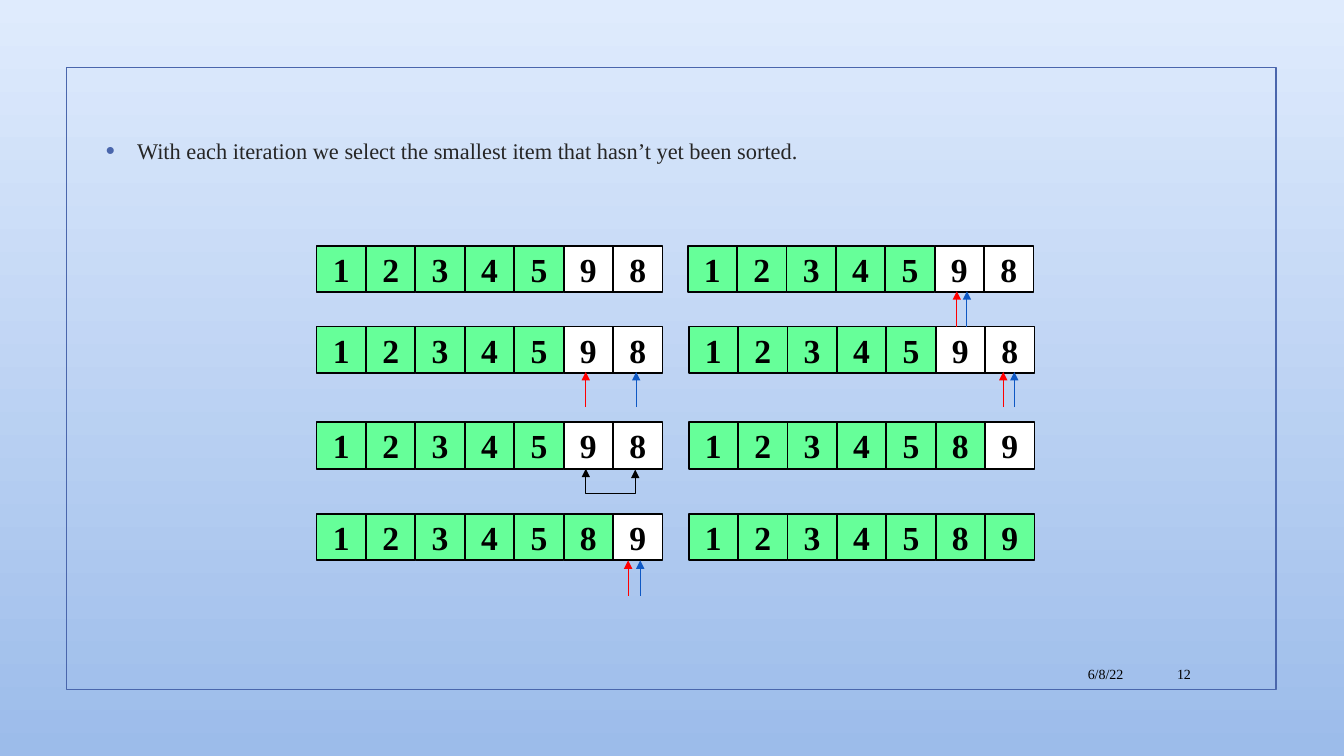
from lxml import etree
from pptx import Presentation
from pptx.dml.color import RGBColor
from pptx.enum.shapes import MSO_CONNECTOR, MSO_SHAPE
from pptx.enum.text import MSO_ANCHOR, PP_ALIGN
from pptx.oxml.ns import qn
from pptx.util import Inches, Pt

RECTANGLE = MSO_SHAPE.RECTANGLE
STRAIGHT, ELBOW = MSO_CONNECTOR.STRAIGHT, MSO_CONNECTOR.ELBOW
TOP, MIDDLE = MSO_ANCHOR.TOP, MSO_ANCHOR.MIDDLE
LEFT, CENTER, RIGHT = PP_ALIGN.LEFT, PP_ALIGN.CENTER, PP_ALIGN.RIGHT
CONTENT_LAYOUT = 1

BLACK, WHITE, RED, BLUE = "000000", "FFFFFF", "FF0000", "0E58C4"
SORTED_GREEN, ACCENT, BODY_TEXT = "66FF99", "4A66AC", "262626"
CELL_WIDTH, CELL_HEIGHT, POINTER_LENGTH = 0.49, 0.46, 0.35

# left, top, digits, number of sorted cells
ARRAYS = [
    (3.14, 2.44, "1234598", 5), (6.82, 2.44, "1234598", 5),
    (3.14, 3.24, "1234598", 5), (6.83, 3.24, "1234598", 5),
    (3.14, 4.19, "1234598", 5), (6.83, 4.19, "1234589", 6),
    (3.14, 5.1, "1234589", 6), (6.83, 5.1, "1234589", 7),
]
# x of the smallest-item pointer, x of the scanning pointer, y of the tips
POINTERS = [(9.49, 9.59, 2.89), (5.81, 6.31, 3.69),
            (9.95, 10.06, 3.69), (6.23, 6.35, 5.56)]


def color(hex_string):
    return RGBColor.from_string(hex_string)


class SlideBuilder:
    font_name = "Times New Roman"

    def __init__(self, slide):
        self.slide = slide
        self.shapes = slide.shapes

    def background(self, top_color, bottom_color):
        fill = self.slide.background.fill
        fill.gradient()
        fill.gradient_angle = 270
        for stop, hex_string in zip(fill.gradient_stops, (top_color, bottom_color)):
            stop.color.rgb = color(hex_string)

    def set_text(self, shape, text, size, hex_string, align, anchor=MIDDLE, bold=False):
        frame = shape.text_frame
        frame.word_wrap = True
        frame.vertical_anchor = anchor
        paragraph = frame.paragraphs[0]
        paragraph.text = text
        paragraph.alignment = align
        font = paragraph.font
        font.name, font.size, font.bold = self.font_name, Pt(size), bold
        font.color.rgb = color(hex_string)
        return paragraph

    def rectangle(self, left, top, width, height, line, fill=None):
        shape = self.shapes.add_shape(
            RECTANGLE, Inches(left), Inches(top), Inches(width), Inches(height))
        shape.shadow.inherit = False
        if fill:
            shape.fill.solid()
            shape.fill.fore_color.rgb = color(fill)
        else:
            shape.fill.background()
        shape.line.color.rgb = color(line)
        shape.line.width = Pt(1.25)
        return shape

    def array(self, left, top, digits, sorted_count):
        for index, digit in enumerate(digits):
            fill = SORTED_GREEN if index < sorted_count else WHITE
            cell = self.rectangle(left + index * CELL_WIDTH, top,
                                  CELL_WIDTH, CELL_HEIGHT, BLACK, fill)
            self.set_text(cell, digit, 24, BLACK, CENTER, bold=True)

    def bullet(self, left, top, width, height, text):
        body = self.slide.placeholders[1]
        body.left, body.top = Inches(left), Inches(top)
        body.width, body.height = Inches(width), Inches(height)
        paragraph = self.set_text(body, text, 16, BODY_TEXT, LEFT, TOP)
        paragraph.space_before, paragraph.space_after = Pt(3.2), Pt(6)
        properties = paragraph._p.get_or_add_pPr()
        properties.set("marL", str(Inches(0.31)))
        properties.set("indent", str(-Inches(0.31)))
        marker = [etree.Element(qn(tag)) for tag in
                  ("a:buClr", "a:buSzPct", "a:buFont", "a:buChar")]
        etree.SubElement(marker[0], qn("a:srgbClr")).set("val", ACCENT)
        marker[1].set("val", "115000")
        marker[2].set("typeface", "Arial")
        marker[3].set("char", "•")
        position = properties.index(properties.find(qn("a:defRPr")))
        properties[position:position] = marker

    def label(self, left, top, width, height, text):
        box = self.shapes.add_textbox(
            Inches(left), Inches(top), Inches(width), Inches(height))
        self.set_text(box, text, 10, BLACK, RIGHT)

    def connector(self, kind, start, end, hex_string, arrowheads):
        connector = self.shapes.add_connector(kind, *map(Inches, start + end))
        connector.line.color.rgb = color(hex_string)
        connector.line.width = Pt(0.75)
        properties = connector._element.spPr
        line = properties.find(qn("a:ln"))
        for tag in arrowheads:
            etree.SubElement(line, qn(tag)).set("type", "triangle")
        etree.SubElement(properties, qn("a:effectLst"))
        return connector

    def pointer(self, x, tip, hex_string):
        self.connector(STRAIGHT, (x, tip + POINTER_LENGTH), (x, tip),
                       hex_string, ["a:tailEnd"])

    def swap_arrow(self, left, top, width, depth):
        """Draw a U below two cells, with an arrowhead at each end."""
        rise = 0.01
        center_x, center_y = left + width / 2, top + rise / 2
        start = (center_x + rise / 2, center_y - width / 2)
        end = (center_x - rise / 2, center_y + width / 2)
        connector = self.connector(ELBOW, start, end, BLACK,
                                   ["a:headEnd", "a:tailEnd"])
        properties = connector._element.spPr
        properties.find(qn("a:xfrm")).set("rot", str(270 * 60000))
        geometry = properties.find(qn("a:prstGeom"))
        adjustments = geometry.find(qn("a:avLst"))
        if adjustments is None:
            adjustments = etree.SubElement(geometry, qn("a:avLst"))
        guide = etree.SubElement(adjustments, qn("a:gd"))
        guide.set("name", "adj1")
        guide.set("fmla", f"val {round(depth / rise * 100000)}")


def main():
    presentation = Presentation()
    presentation.slide_width = Inches(13.33)
    presentation.slide_height = Inches(7.5)
    slide = presentation.slides.add_slide(presentation.slide_layouts[CONTENT_LAYOUT])
    title = slide.shapes.title._element
    title.getparent().remove(title)

    builder = SlideBuilder(slide)
    builder.background("DFEBFD", "9CBCEA")
    builder.rectangle(0.66, 0.67, 12, 6.17, ACCENT)
    builder.bullet(0.95, 1.31, 10.5, 3.63,
                   "With each iteration we select the smallest item that hasn’t yet been sorted.")
    for array in ARRAYS:
        builder.array(*array)
    for smallest_x, scan_x, tip in POINTERS:
        builder.pointer(smallest_x, tip, RED)
        builder.pointer(scan_x, tip, BLUE)
    builder.swap_arrow(5.81, 4.65, CELL_WIDTH, 0.25)
    builder.label(9.49, 6.53, 1.75, 0.31, "6/8/22")
    builder.label(11.32, 6.53, 0.59, 0.31, "12")
    presentation.save("out.pptx")


if __name__ == "__main__":
    main()
